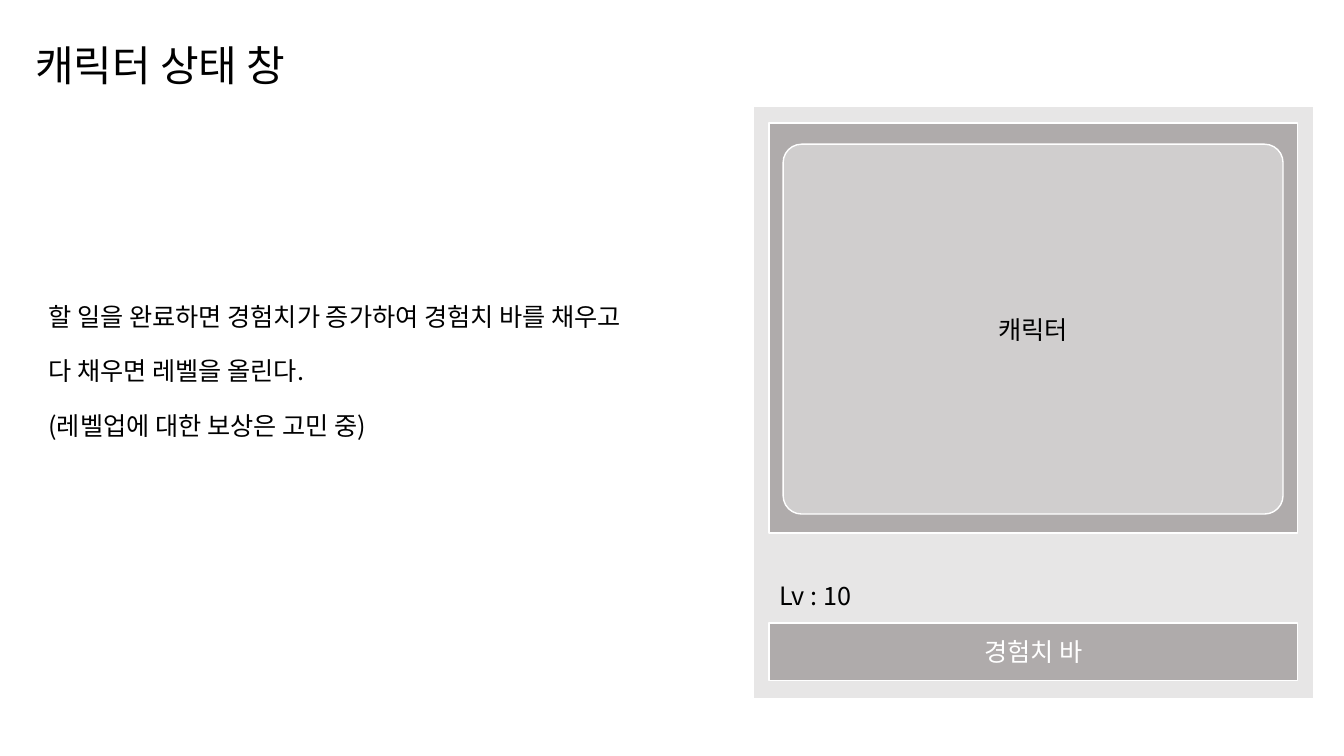
import pptx
import pptx.util
import pptx.dml.color
import pptx.enum.shapes
import pptx.enum.text

Pt = pptx.util.Pt
RGBColor = pptx.dml.color.RGBColor
SHAPE = pptx.enum.shapes.MSO_SHAPE
ALIGN = pptx.enum.text.PP_ALIGN
ANCHOR = pptx.enum.text.MSO_ANCHOR

FONT = "Noto Sans CJK KR"
BLACK = RGBColor(0x00, 0x00, 0x00)
WHITE = RGBColor(0xFF, 0xFF, 0xFF)
WINDOW_GRAY = RGBColor(0xE7, 0xE6, 0xE6)
FRAME_GRAY = RGBColor(0xAF, 0xAB, 0xAB)
PORTRAIT_GRAY = RGBColor(0xD0, 0xCE, 0xCE)

# Left edge and width shared by the frame and the experience bar
INNER_LEFT, INNER_WIDTH = 549.4, 377.3


def write(tf, lines, size=18, color=BLACK, align=ALIGN.LEFT,
          anchor=ANCHOR.TOP, gap=0, spacing=None):
    tf.word_wrap = True
    tf.vertical_anchor = anchor
    tf.text = "\n".join(lines)
    for i, p in enumerate(tf.paragraphs):
        p.alignment = align
        p.line_spacing = spacing
        if i:
            p.space_before = Pt(gap)
        for r in p.runs:
            r.font.name = FONT
            r.font.size = Pt(size)
            r.font.color.rgb = color


def add_panel(s, kind, left, top, width, height, fill, label=None, color=BLACK):
    sp = s.shapes.add_shape(kind, Pt(left), Pt(top), Pt(width), Pt(height))
    sp.shadow.inherit = False
    sp.fill.solid()
    sp.fill.fore_color.rgb = fill
    sp.line.color.rgb = WHITE
    sp.line.width = Pt(1)
    if label:
        write(sp.text_frame, [label], color=color, align=ALIGN.CENTER,
              anchor=ANCHOR.MIDDLE)
    return sp


def add_text(s, left, top, width, height, lines, **style):
    sp = s.shapes.add_textbox(Pt(left), Pt(top), Pt(width), Pt(height))
    write(sp.text_frame, lines, **style)


def main():
    prs = pptx.Presentation()
    prs.slide_width, prs.slide_height = Pt(960), Pt(540)
    s = prs.slides.add_slide(prs.slide_layouts[6])

    # Status window with the character portrait
    add_panel(s, SHAPE.RECTANGLE, 537.8, 75.6, 400.3, 423.4, WINDOW_GRAY)
    add_panel(s, SHAPE.RECTANGLE, INNER_LEFT, 87.8, INNER_WIDTH, 293, FRAME_GRAY)
    portrait = add_panel(s, SHAPE.ROUNDED_RECTANGLE, 559.4, 103, 357.1, 264.2,
                         PORTRAIT_GRAY, "캐릭터")
    portrait.adjustments[0] = 0.05

    # Title
    add_text(s, 18, 20.9, 310.3, 55.4, ["캐릭터 상태 창"], size=30,
             anchor=ANCHOR.MIDDLE, spacing=0.9)

    # Level and experience bar
    add_panel(s, SHAPE.RECTANGLE, INNER_LEFT, 445, INNER_WIDTH, 41, FRAME_GRAY,
              "경험치 바", WHITE)
    add_text(s, INNER_LEFT, 411.1, 141.1, 28.8, ["Lv : 10"])

    # Description
    add_text(s, 27.4, 211.7, 475.9, 116.6,
             ["할 일을 완료하면 경험치가 증가하여 경험치 바를 채우고",
              "다 채우면 레벨을 올린다.",
              "(레벨업에 대한 보상은 고민 중)"], gap=17.2)

    prs.save("out.pptx")


if __name__ == "__main__":
    main()
